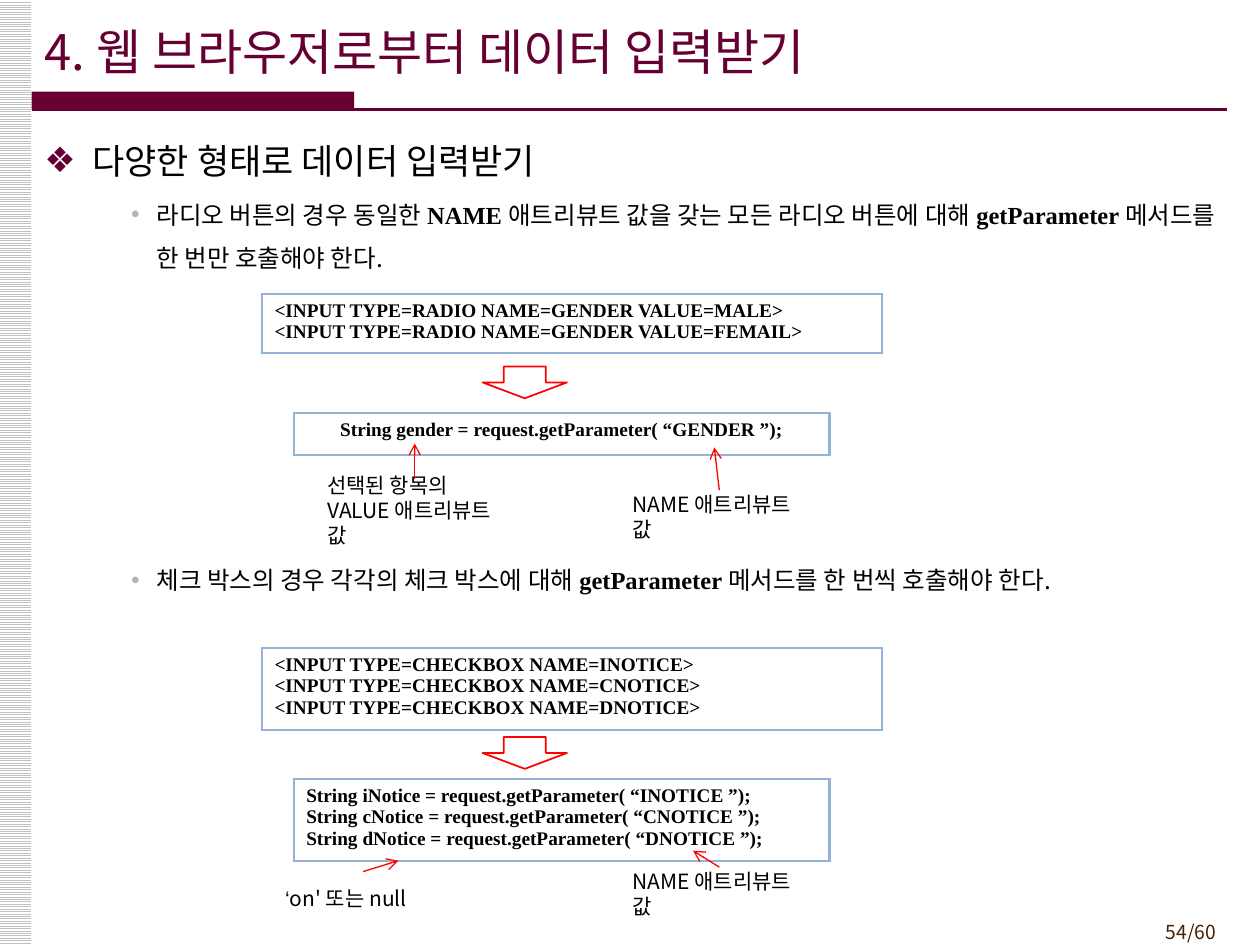
from lxml import etree
from pptx import Presentation
from pptx import util as u
from pptx.dml.color import RGBColor
from pptx.enum import dml, shapes, text
from pptx.oxml.ns import qn

GOTHIC = "Noto Sans CJK KR"
SERIF = "Times New Roman"
WINE = "660033"
BLACK = "000000"
RED = "FF0000"
CODE_BORDER = "95B3D7"


def rgb(value):
    return RGBColor.from_string(value)


def box(*lengths):
    return [u.Cm(length) for length in lengths]


def style(paragraph, size, color=BLACK, name=GOTHIC, bold=False):
    font = paragraph.font
    font.size = u.Pt(size)
    font.bold = bold
    font.name = name
    font.color.rgb = rgb(color)
    defaults = paragraph._p.pPr.find(qn("a:defRPr"))
    etree.SubElement(defaults, qn("a:ea"), typeface=name)


def write_lines(frame, lines, size, name=GOTHIC, bold=False, align=None):
    for index, line in enumerate(lines):
        paragraph = frame.paragraphs[0] if index == 0 else frame.add_paragraph()
        paragraph.text = line
        paragraph.alignment = align
        style(paragraph, size, name=name, bold=bold)


def place(placeholder, left, top, width, height):
    placeholder.left, placeholder.top, placeholder.width, placeholder.height = box(
        left, top, width, height)
    frame = placeholder.text_frame
    frame.auto_size = text.MSO_AUTO_SIZE.NONE
    return frame


def add_title(slide, wording):
    frame = place(slide.shapes.title, 0.64, 0.23, 21, 1.6)
    frame.vertical_anchor = text.MSO_ANCHOR.MIDDLE
    heading = frame.paragraphs[0]
    heading.text = wording
    heading.alignment = text.PP_ALIGN.LEFT
    style(heading, 28, WINE)


def add_bullet(paragraph, symbol, color, margin, indent):
    properties = paragraph._p.pPr
    properties.set("marL", str(u.Cm(margin)))
    properties.set("indent", str(-u.Cm(indent)))
    defaults = properties.find(qn("a:defRPr"))
    tint = etree.Element(qn("a:buClr"))
    etree.SubElement(tint, qn("a:srgbClr"), val=color)
    defaults.addprevious(tint)
    defaults.addprevious(etree.Element(qn("a:buFont"), typeface="Arial"))
    defaults.addprevious(etree.Element(qn("a:buChar"), char=symbol))


def add_point(paragraph, parts, before):
    paragraph.level = 2
    paragraph.line_spacing = u.Pt(25)
    paragraph.space_before = u.Pt(before)
    paragraph.space_after = u.Pt(0)
    style(paragraph, 14)
    add_bullet(paragraph, "•", "ADB9AD", 2.26, 0.51)
    for wording, is_code in parts:
        run = paragraph.add_run()
        run.text = wording
        if is_code:
            run.font.name = SERIF
            run.font.bold = True


def add_body(slide):
    frame = place(slide.placeholders[1], 0.64, 2.62, 24.13, 16)
    topic = frame.paragraphs[0]
    topic.text = "다양한 형태로 데이터 입력받기"
    topic.line_spacing = u.Pt(26)
    topic.space_before = u.Pt(0)
    style(topic, 20)
    add_bullet(topic, "❖", WINE, 0.97, 0.97)
    add_point(frame.add_paragraph(), [
        ("라디오 버튼의 경우 동일한 ", False),
        ("NAME ", True),
        ("애트리뷰트 값을 갖는 모든 라디오 버튼에 대해 ", False),
        ("getParameter ", True),
        ("메서드를 한 번만 호출해야 한다.", False),
    ], 2)
    add_point(frame.add_paragraph(), [
        ("체크 박스의 경우 각각의 체크 박스에 대해 ", False),
        ("getParameter ", True),
        ("메서드를 한 번씩 호출해야 한다.", False),
    ], 159)


def add_code(slide, left, top, width, height, lines, align=None):
    table = slide.shapes.add_table(1, 1, *box(left, top, width, height)).table
    table.first_row = table.horz_banding = False
    table_properties = table._tbl.tblPr
    table_properties.remove(table_properties.find(qn("a:tableStyleId")))
    cell = table.cell(0, 0)
    cell_properties = cell._tc.get_or_add_tcPr()
    for side in ("lnL", "lnR", "lnT", "lnB"):
        border = etree.SubElement(cell_properties, qn(f"a:{side}"), w=str(u.Pt(1.5)))
        fill = etree.SubElement(border, qn("a:solidFill"))
        etree.SubElement(fill, qn("a:srgbClr"), val=CODE_BORDER)
    cell.fill.background()
    write_lines(cell.text_frame, lines, 11, SERIF, True, align)


def add_down_arrow(slide, top):
    arrow = slide.shapes.add_shape(
        shapes.MSO_SHAPE.DOWN_ARROW, *box(9.73, top, 1.7, 0.64))
    arrow.shadow.inherit = False
    arrow.fill.background()
    arrow.line.color.rgb = rgb(RED)
    arrow.line.width = u.Pt(1)


def add_label(slide, left, top, width, height, lines):
    label = slide.shapes.add_textbox(*box(left, top, width, height))
    label.fill.solid()
    label.fill.fore_color.rgb = rgb("FFFFFF")
    frame = label.text_frame
    frame.word_wrap = True
    frame.vertical_anchor = text.MSO_ANCHOR.MIDDLE
    write_lines(frame, lines, 12)
    return frame


def add_line(slide, ends, color, width, has_head=False):
    line = slide.shapes.add_connector(shapes.MSO_CONNECTOR.STRAIGHT, *box(*ends))
    line.line.color.rgb = rgb(color)
    line.line.width = u.Pt(width)
    if has_head:
        etree.SubElement(line.line._get_or_add_ln(), qn("a:tailEnd"), type="arrow")
    etree.SubElement(line._element.spPr, qn("a:effectLst"))


def add_block(slide, left, top, width, height):
    block = slide.shapes.add_shape(
        shapes.MSO_SHAPE.RECTANGLE, *box(left, top, width, height))
    block.shadow.inherit = False
    block.line.fill.background()
    return block.fill


def add_frame(slide):
    strip = add_block(slide, -0.03, 0, 0.66, 19.05)
    strip.patterned()
    strip.pattern = dml.MSO_PATTERN.LIGHT_HORIZONTAL
    strip.fore_color.rgb = rgb("C0C0C0")
    strip.back_color.rgb = rgb("FFFFFF")
    bar = add_block(slide, 0.64, 1.85, 6.5, 0.36)
    bar.solid()
    bar.fore_color.rgb = rgb(WINE)
    add_line(slide, (0.64, 2.21, 24.74, 2.21), WINE, 1.5)
    page = slide.shapes.add_textbox(*box(22.66, 18.42, 2.11, 0.74))
    number = page.text_frame.paragraphs[0]
    number.text = "54/60"
    number.alignment = text.PP_ALIGN.RIGHT
    style(number, 11, "452103")


def main():
    deck = Presentation()
    deck.slide_width, deck.slide_height = box(25.4, 19.05)
    slide = deck.slides.add_slide(deck.slide_layouts[1])
    add_frame(slide)
    add_title(slide, "4. 웹 브라우저로부터 데이터 입력받기")
    add_body(slide)

    add_code(slide, 5.28, 5.92, 12.5, 1.19, [
        f"<INPUT TYPE=RADIO NAME=GENDER VALUE={value}>" for value in ("MALE", "FEMAIL")])
    add_code(slide, 5.92, 8.33, 10.8, 0.84,
             ["String gender = request.getParameter( “GENDER ”);"],
             text.PP_ALIGN.CENTER)
    add_code(slide, 5.28, 13.06, 12.5, 1.65, [
        f"<INPUT TYPE=CHECKBOX NAME={letter}NOTICE>" for letter in "ICD"])
    add_code(slide, 5.92, 15.7, 10.8, 1.65, [
        f"String {letter.lower()}Notice = request.getParameter( “{letter}NOTICE ”);"
        for letter in "ICD"])
    for top in (7.39, 14.86):
        add_down_arrow(slide, top)

    add_label(slide, 6.35, 9.65, 4.02, 1.27, ["선택된 항목의", "VALUE 애트리뷰트 값"])
    for top in (9.88, 17.48):
        add_label(slide, 12.5, top, 4.02, 1.07, ["NAME 애트리뷰트 값"])
    result = add_label(slide, 5.5, 17.57, 3.6, 1.07, ["‘"]).paragraphs[0]
    result.runs[0].font.name = "Arial"
    result.add_run().text = "on' 또는 null"

    for ends in ((8.36, 9.65, 8.36, 8.94), (14.5, 9.88, 14.4, 9.02),
                 (7.32, 17.57, 8.03, 17.35), (14.5, 17.48, 13.97, 17.15)):
        add_line(slide, ends, RED, 0.75, has_head=True)
    deck.save("out.pptx")


if __name__ == "__main__":
    main()
